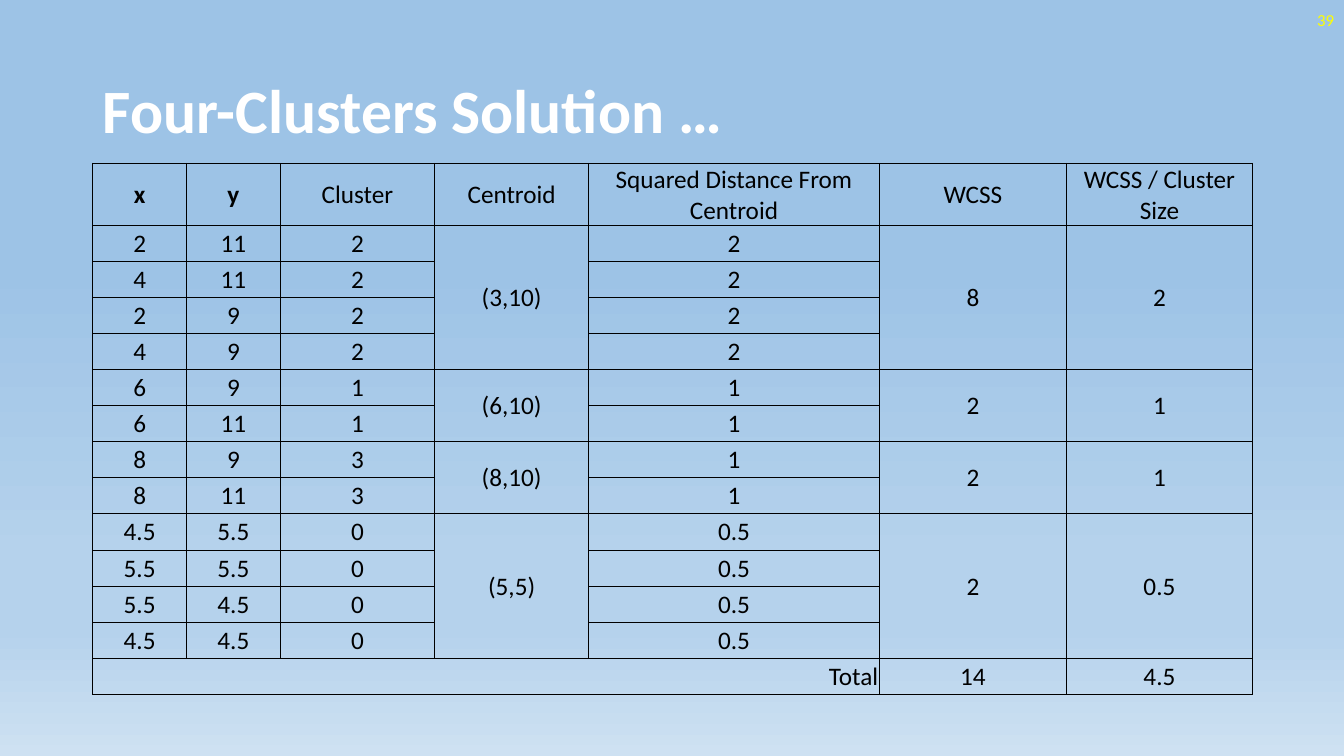
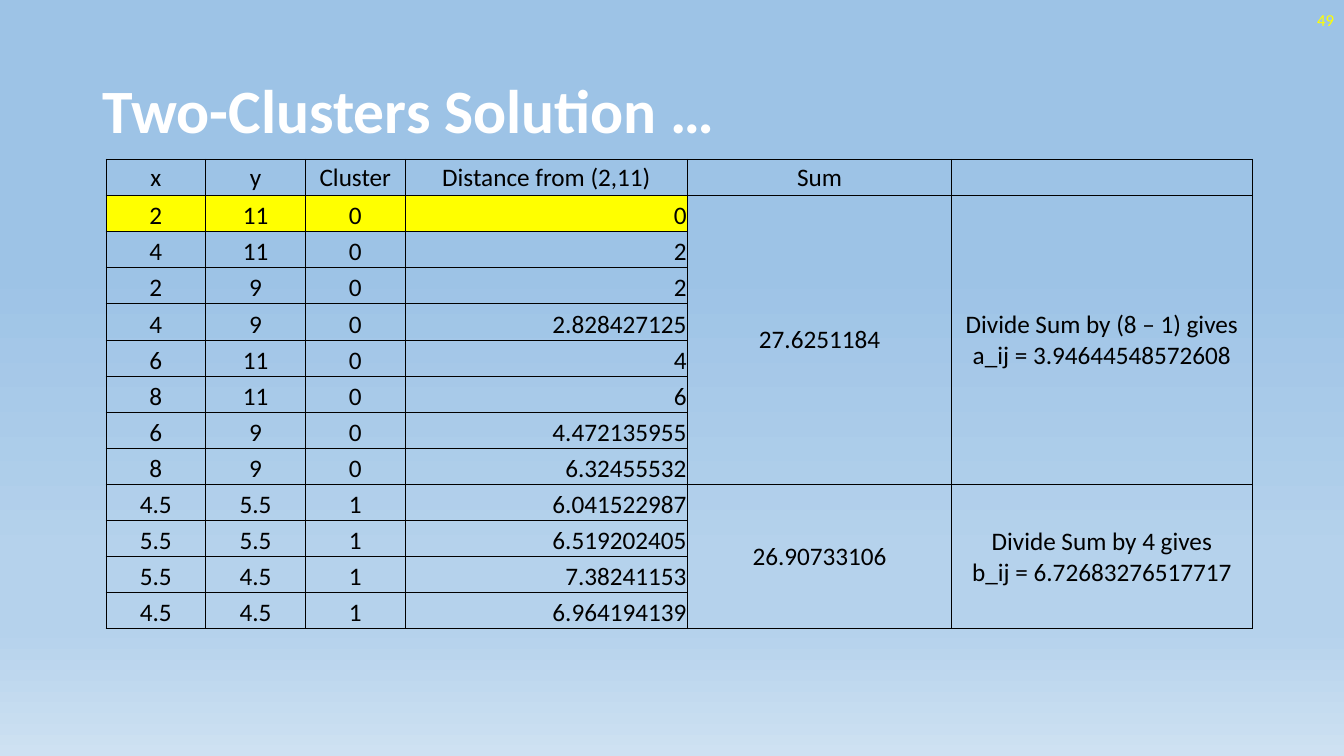
"""Build two clustering slides, each with a title, a page number and a table."""
from dataclasses import dataclass

from lxml import etree
from pptx import Presentation
from pptx.dml.color import RGBColor
from pptx.enum.text import MSO_ANCHOR, PP_ALIGN
from pptx.oxml.ns import qn
from pptx.util import Inches, Pt

LEFT, CENTER, RIGHT = PP_ALIGN.LEFT, PP_ALIGN.CENTER, PP_ALIGN.RIGHT
MIDDLE, BOTTOM = MSO_ANCHOR.MIDDLE, MSO_ANCHOR.BOTTOM


@dataclass(frozen=True)
class Theme:
    font: str = "Calibri"
    title_color: str = "FFFFFF"
    number_color: str = "FFFF00"
    highlight: str = "FFFF00"
    ink: str = "000000"
    title_size: int = 44
    number_size: int = 12
    cell_size: int = 18
    border: float = 0.5
    gradient: tuple = ((35, "9DC3E6"), (74, "B5D2EC"), (83, "B5D2EC"), (100, "CEE1F2"))


THEME = Theme()
SLIDE_WIDTH, SLIDE_HEIGHT = 13.33, 7.5
CONTENT_LEFT, CONTENT_WIDTH = 0.92, 11.5
CONTENT_RIGHT = CONTENT_LEFT + CONTENT_WIDTH
ROW_HEIGHT = 4.66 / 13


def write(frame, text, size, color, align, bold=False):
    """Fill a text frame, one paragraph per line of text."""
    frame.text = text
    for paragraph in frame.paragraphs:
        paragraph.alignment = align
        font = paragraph.font
        font.name, font.size, font.bold = THEME.font, Pt(size), bold
        font.color.rgb = RGBColor.from_string(color)


def add_textbox(slide, box, text, size, color, align, bold=False):
    """Add a wrapped, vertically centred text box."""
    frame = slide.shapes.add_textbox(*map(Inches, box)).text_frame
    frame.word_wrap = True
    frame.vertical_anchor = MIDDLE
    write(frame, text, size, color, align, bold)
    return frame


SLIDES = [
    {
        "title": "Four-Clusters Solution …",
        "number": "39",
        "top": 1.62,
        "header_height": 0.61,
        "columns": [0.93, 0.93, 1.53, 1.53, 2.88, 1.86, 1.84],
        "rows": [
            ["x", "y", "Cluster", "Centroid", "Squared Distance From Centroid",
             "WCSS", "WCSS / Cluster Size"],
            ["2", "11", "2", "(3,10)", "2", "8", "2"],
            ["4", "11", "2", None, "2"],
            ["2", "9", "2", None, "2"],
            ["4", "9", "2", None, "2"],
            ["6", "9", "1", "(6,10)", "1", "2", "1"],
            ["6", "11", "1", None, "1"],
            ["8", "9", "3", "(8,10)", "1", "2", "1"],
            ["8", "11", "3", None, "1"],
            ["4.5", "5.5", "0", "(5,5)", "0.5", "2", "0.5"],
            ["5.5", "5.5", "0", None, "0.5"],
            ["5.5", "4.5", "0", None, "0.5"],
            ["4.5", "4.5", "0", None, "0.5"],
            ["Total", None, None, None, None, "14", "4.5"],
        ],
        "group_sizes": [4, 2, 2, 4],
        "group_columns": [3, 5, 6],
        "total_span": 5,
        "bold_headers": ["x", "y"],
        "right_cells": [(13, 0)],
        "bottom_columns": [],
        "highlight_cells": [],
    },
    {
        "title": "Two-Clusters Solution …",
        "number": "49",
        "top": 1.58,
        "header_height": ROW_HEIGHT,
        "columns": [0.99, 0.99, 0.99, 2.8, 2.62, 2.98],
        "rows": [
            ["x", "y", "Cluster", "Distance from (2,11)", "Sum"],
            ["2", "11", "0", "0", "27.6251184",
             "Divide Sum by (8 – 1) gives a_ij = 3.94644548572608"],
            ["4", "11", "0", "2"],
            ["2", "9", "0", "2"],
            ["4", "9", "0", "2.828427125"],
            ["6", "11", "0", "4"],
            ["8", "11", "0", "6"],
            ["6", "9", "0", "4.472135955"],
            ["8", "9", "0", "6.32455532"],
            ["4.5", "5.5", "1", "6.041522987", "26.90733106",
             "Divide Sum by 4 gives\nb_ij = 6.72683276517717"],
            ["5.5", "5.5", "1", "6.519202405"],
            ["5.5", "4.5", "1", "7.38241153"],
            ["4.5", "4.5", "1", "6.964194139"],
        ],
        "group_sizes": [8, 4],
        "group_columns": [4, 5],
        "total_span": 0,
        "bold_headers": [],
        "right_cells": [(row, 3) for row in range(1, 13)],
        "bottom_columns": range(4),
        "highlight_cells": [(1, column) for column in range(4)],
    },
]

presentation = Presentation()
presentation.slide_width = Inches(SLIDE_WIDTH)
presentation.slide_height = Inches(SLIDE_HEIGHT)

master = presentation.slide_master
background = master.background.fill
background.gradient()
background.gradient_angle = 270
stops = master.element.find(".//" + qn("a:gsLst"))
for stop in list(stops):
    stops.remove(stop)
for position, color in THEME.gradient:
    stop = etree.SubElement(stops, qn("a:gs"), pos=str(position * 1000))
    etree.SubElement(stop, qn("a:srgbClr"), val=color)

for content in SLIDES:
    slide = presentation.slides.add_slide(presentation.slide_layouts[6])
    title = add_textbox(slide, (CONTENT_LEFT, 0.4, CONTENT_WIDTH, 1.45), content["title"],
                        THEME.title_size, THEME.title_color, LEFT, bold=True)
    title.paragraphs[0].line_spacing = 0.9
    add_textbox(slide, (SLIDE_WIDTH - 3, 0, 3, 0.4), content["number"],
                THEME.number_size, THEME.number_color, RIGHT)

    rows, columns = content["rows"], content["columns"]
    width = sum(columns)
    height = content["header_height"] + ROW_HEIGHT * (len(rows) - 1)
    table = slide.shapes.add_table(
        len(rows), len(columns), Inches(CONTENT_RIGHT - width), Inches(content["top"]),
        Inches(width), Inches(height)).table
    table.first_row = table.horz_banding = False
    for column, column_width in zip(table.columns, columns):
        column.width = Inches(column_width)
    for row in table.rows:
        row.height = Inches(ROW_HEIGHT)
    table.rows[0].height = Inches(content["header_height"])

    first = 1
    for size in content["group_sizes"]:
        for column in content["group_columns"]:
            table.cell(first, column).merge(table.cell(first + size - 1, column))
        first += size
    if content["total_span"]:
        table.cell(first, 0).merge(table.cell(first, content["total_span"] - 1))

    for row in range(len(rows)):
        for column in range(len(columns)):
            cell = table.cell(row, column)
            cell.margin_left = cell.margin_right = cell.margin_top = Inches(0.01)
            cell.margin_bottom = 0
            at_bottom = (row > 0 and column in content["bottom_columns"])
            cell.vertical_anchor = BOTTOM if at_bottom else MIDDLE

            properties = cell._tc.get_or_add_tcPr()
            for side in ("a:lnL", "a:lnR", "a:lnT", "a:lnB"):
                line = etree.SubElement(properties, qn(side), w=str(Pt(THEME.border)))
                solid = etree.SubElement(line, qn("a:solidFill"))
                etree.SubElement(solid, qn("a:srgbClr"), val=THEME.ink)
            if (row, column) in content["highlight_cells"]:
                cell.fill.solid()
                cell.fill.fore_color.rgb = RGBColor.from_string(THEME.highlight)
            else:
                cell.fill.background()

            text = rows[row][column] if column < len(rows[row]) else None
            if text:
                align = RIGHT if (row, column) in content["right_cells"] else CENTER
                write(cell.text_frame, text, THEME.cell_size, THEME.ink, align,
                      bold=row == 0 and text in content["bold_headers"])

presentation.save("out.pptx")
